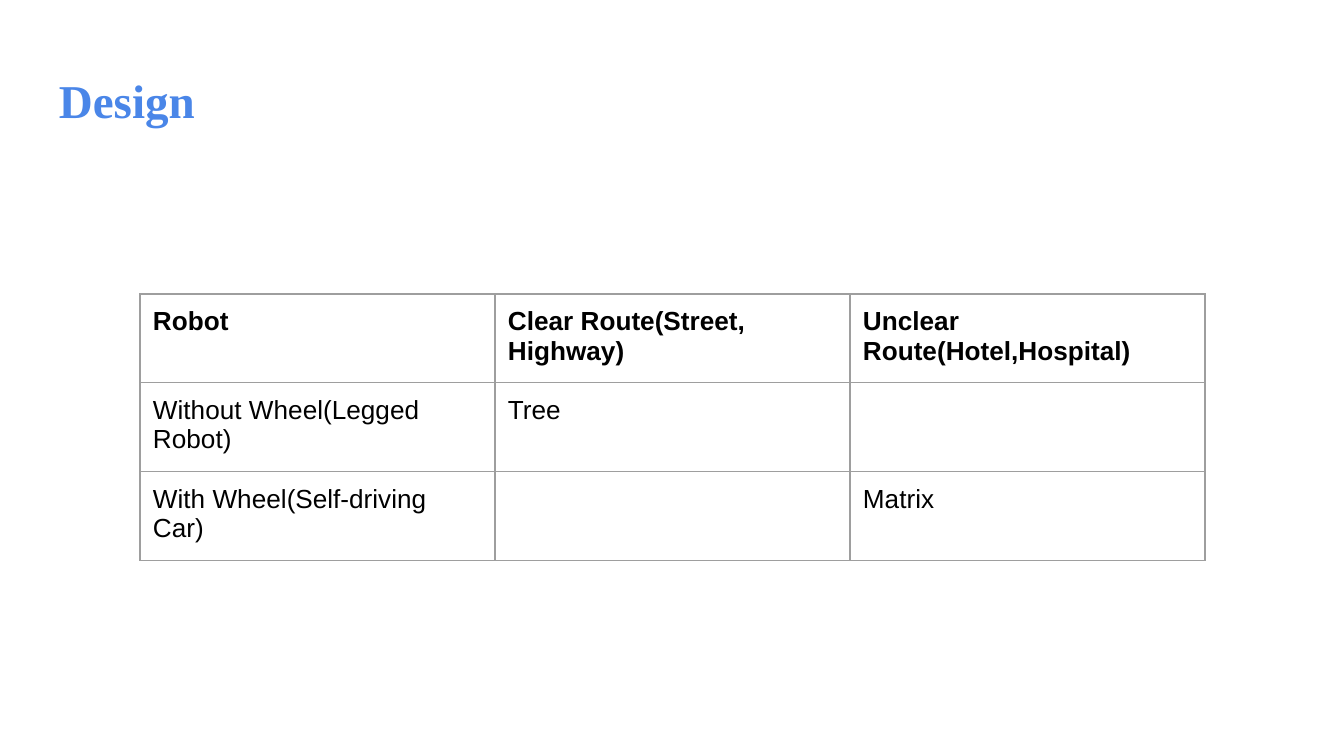
"""Build the Design slide: a title above a table matching robots to route types."""
from dataclasses import dataclass

from lxml import etree
from pptx import Presentation
from pptx.dml.color import RGBColor
from pptx.enum.text import MSO_ANCHOR
from pptx.oxml.ns import qn
from pptx.util import Emu, Pt

EMU_PER_PX = 914400 / 134.4
BLANK_LAYOUT = 6
MIDDLE = MSO_ANCHOR.MIDDLE
TOP = MSO_ANCHOR.TOP

BLUE = RGBColor(0x4A, 0x86, 0xE8)
BLACK = RGBColor(0x00, 0x00, 0x00)
GREY = RGBColor(0x9E, 0x9E, 0x9E)

INSET = 13
COLUMN_WIDTH = 355
ROW_HEIGHT = 85
BORDER_WIDTH = Pt(0.75)


@dataclass(frozen=True)
class RobotRow:
    robot: str
    clear_route: str
    unclear_route: str
    bold: bool = False

    def entries(self) -> tuple[str, str, str]:
        return self.robot, self.clear_route, self.unclear_route


ROBOT_ROWS = (
    RobotRow("Robot", "Clear Route(Street, Highway)", "Unclear Route(Hotel,Hospital)", bold=True),
    RobotRow("Without Wheel(Legged Robot)", "Tree", ""),
    RobotRow("With Wheel(Self-driving Car)", "", "Matrix"),
)


def px(length: int) -> Emu:
    return Emu(round(length * EMU_PER_PX))


def write_text(frame, text: str, *, size: float, font: str = "Arial",
               color: RGBColor = BLACK, bold: bool = False) -> None:
    frame.word_wrap = True
    if not text:
        return
    run = frame.paragraphs[0].add_run()
    run.text = text
    run.font.size = Pt(size)
    run.font.name = font
    run.font.bold = bold
    run.font.color.rgb = color


def set_insets(holder) -> None:
    holder.margin_left = holder.margin_right = px(INSET)
    holder.margin_top = holder.margin_bottom = px(INSET)


def draw_borders(cell) -> None:
    properties = cell._tc.get_or_add_tcPr()
    for position, side in enumerate(("a:lnL", "a:lnR", "a:lnT", "a:lnB")):
        line = etree.Element(qn(side), w=str(BORDER_WIDTH))
        fill = etree.SubElement(line, qn("a:solidFill"))
        etree.SubElement(fill, qn("a:srgbClr"), val=str(GREY))
        properties.insert(position, line)


def draw_title(slide, text: str) -> None:
    title = slide.shapes.add_textbox(px(46), px(57), px(1253), px(85))
    set_insets(title.text_frame)
    title.text_frame.vertical_anchor = MIDDLE
    write_text(title.text_frame, text, size=25.2, font="Times New Roman", color=BLUE, bold=True)


def draw_robot_table(slide, robot_rows: tuple[RobotRow, ...]) -> None:
    column_count = len(robot_rows[0].entries())
    table = slide.shapes.add_table(
        len(robot_rows), column_count, px(140), px(294),
        px(COLUMN_WIDTH * column_count), px(ROW_HEIGHT * len(robot_rows))).table
    table.first_row = table.horz_banding = False
    for column in table.columns:
        column.width = px(COLUMN_WIDTH)
    for row, robot_row in zip(table.rows, robot_rows):
        row.height = px(ROW_HEIGHT)
        for cell, entry in zip(row.cells, robot_row.entries()):
            set_insets(cell)
            cell.vertical_anchor = TOP
            cell.fill.background()
            draw_borders(cell)
            write_text(cell.text_frame, entry, size=14, bold=robot_row.bold)


def main() -> None:
    presentation = Presentation()
    presentation.slide_width = px(1344)
    presentation.slide_height = px(756)
    slide = presentation.slides.add_slide(presentation.slide_layouts[BLANK_LAYOUT])
    draw_title(slide, "Design")
    draw_robot_table(slide, ROBOT_ROWS)
    presentation.save("out.pptx")


if __name__ == "__main__":
    main()
